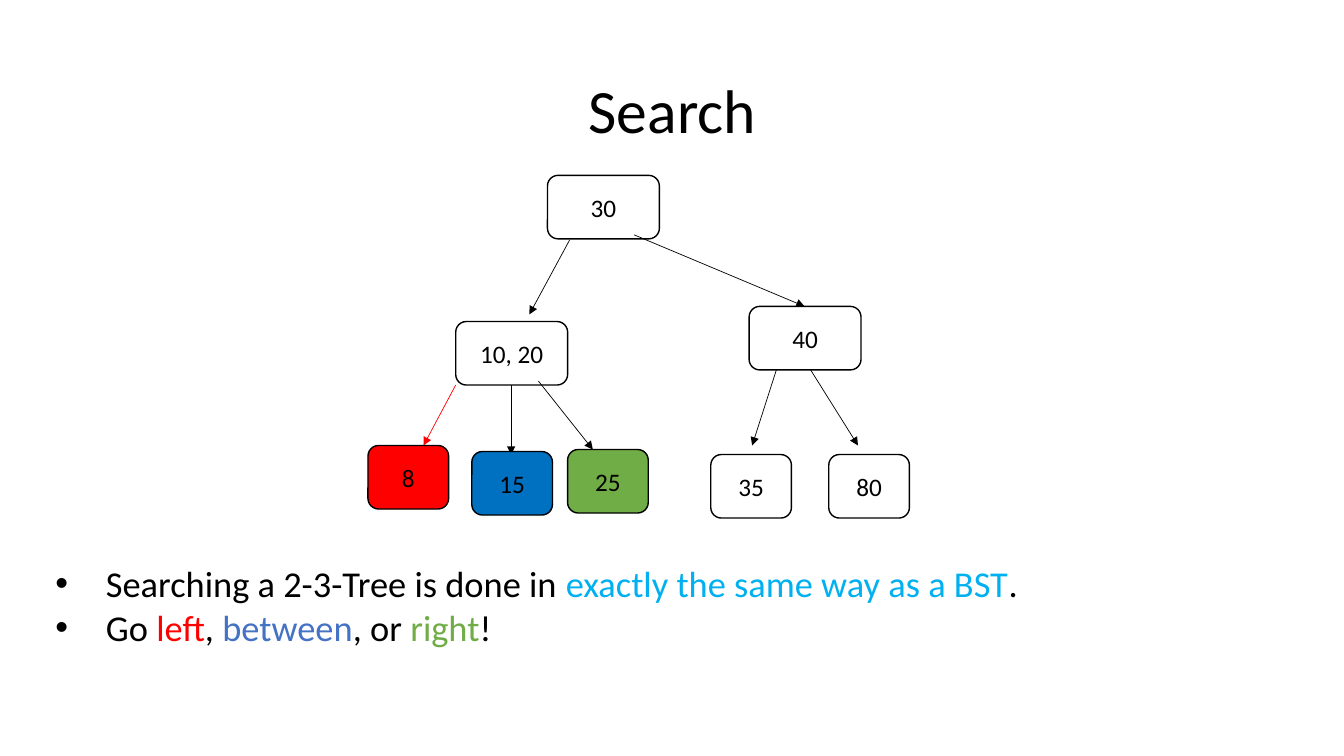
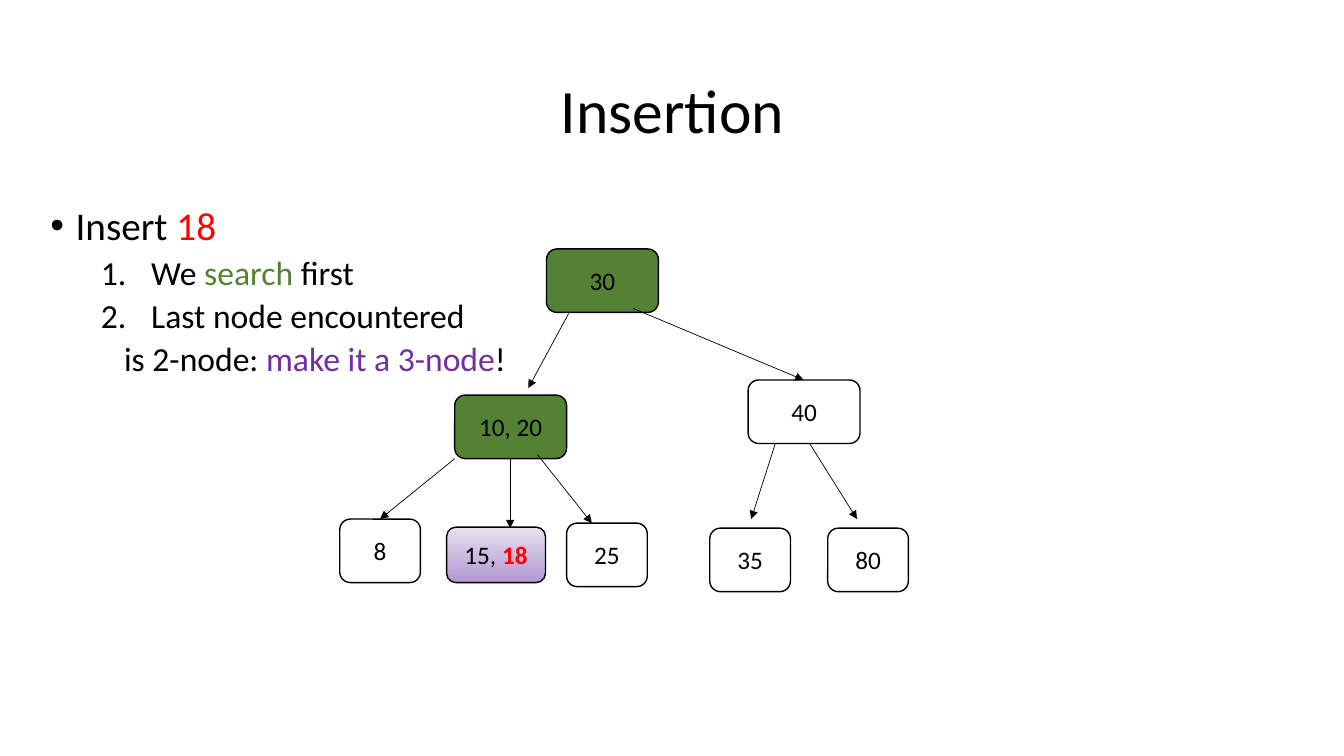
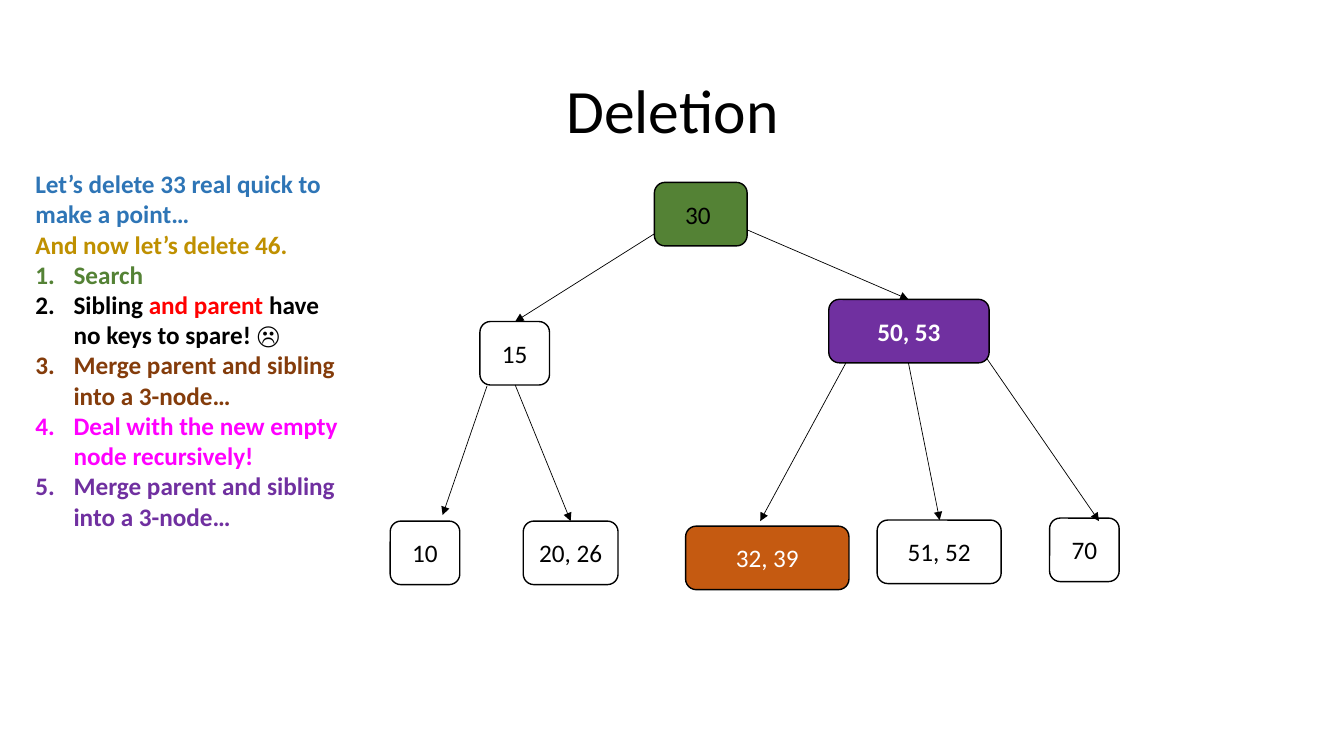
from dataclasses import dataclass

from lxml.etree import SubElement
from pptx import Presentation
from pptx.dml.color import RGBColor
from pptx.enum.shapes import MSO_CONNECTOR as Connector, MSO_SHAPE as Shape
from pptx.enum.text import MSO_ANCHOR as Anchor, MSO_AUTO_SIZE as AutoSize, PP_ALIGN as Align
from pptx.oxml.ns import qn
from pptx.util import Inches, Pt


@dataclass(frozen=True)
class Theme:
    font: str = "Calibri"
    title_size: int = 44
    node_size: int = 18
    node_line: float = 1
    arrow_line: float = 0.5
    black: str = "000000"
    white: str = "FFFFFF"
    red: str = "FF0000"
    sky: str = "00B0F0"
    blue: str = "4472C4"
    strong_blue: str = "0070C0"
    steel: str = "2E75B6"
    green: str = "70AD47"
    dark_green: str = "548235"
    purple: str = "7030A0"
    gold: str = "BF9000"
    brown: str = "843C0B"
    orange: str = "C55A11"
    magenta: str = "FF00FF"
    lavender: tuple = ("B197D2", "E7E1F0")


@dataclass(frozen=True)
class ParagraphStyle:
    size: int
    margin: float = 0
    indent: float = 0
    bullet: str = ""
    level: int = 0
    before: int = 0
    spacing: float = 1.0
    bold: bool = False


THEME = Theme()
NODE_HEIGHT = 0.63
WIDE, NARROW, SINGLE = 1.11, 0.8, 0.69


def set_all(target, values):
    for name, value in values.items():
        setattr(target, name, value)


class Deck:
    def __init__(self, theme):
        self.theme = theme
        self.presentation = Presentation()
        set_all(self.presentation, {"slide_width": Inches(13.33), "slide_height": Inches(7.5)})

    def add_slide(self, title, shift=(0, 0)):
        self.slide = self.presentation.slides.add_slide(self.presentation.slide_layouts[1])
        self.shift = shift
        shape = self.slide.shapes.title
        self.place(shape, (0.92, 0.4, 11.5, 1.45), Anchor.MIDDLE)
        paragraph = shape.text_frame.paragraphs[0]
        set_all(paragraph, {"alignment": Align.CENTER, "line_spacing": 0.9})
        self.add_runs(paragraph, [title], self.theme.title_size)

    def place(self, shape, bounds, anchor):
        set_all(shape, dict(zip(("left", "top", "width", "height"), map(Inches, bounds))))
        set_all(shape.text_frame, {
            "word_wrap": True, "auto_size": AutoSize.NONE, "vertical_anchor": anchor})

    def add_runs(self, paragraph, runs, size, bold=False, color=None):
        for item in runs:
            text, run_color, *emphasis = (item, color) if isinstance(item, str) else item
            run = paragraph.add_run()
            run.text = text
            set_all(run.font, {
                "name": self.theme.font, "size": Pt(size), "bold": bold or bool(emphasis)})
            run.font.color.rgb = RGBColor.from_string(run_color or self.theme.black)

    def body(self, bounds, rows):
        shape = self.slide.placeholders[1]
        self.place(shape, bounds, Anchor.TOP)
        frame = shape.text_frame
        for index, (style, runs) in enumerate(rows):
            paragraph = frame.add_paragraph() if index else frame.paragraphs[0]
            self.bullet(paragraph, style)
            set_all(paragraph, {
                "level": style.level, "line_spacing": style.spacing,
                "space_before": Pt(style.before if index else 0), "space_after": Pt(0)})
            self.add_runs(paragraph, runs, style.size, style.bold)

    def bullet(self, paragraph, style):
        properties = paragraph._p.get_or_add_pPr()
        properties.set("marL", str(Inches(style.margin)))
        properties.set("indent", str(Inches(style.indent)))
        if style.bullet == "number":
            SubElement(properties, qn("a:buFont"), typeface=self.theme.font)
            SubElement(properties, qn("a:buAutoNum"), type="arabicPeriod")
        elif style.bullet:
            SubElement(properties, qn("a:buChar"), char=style.bullet)
        else:
            SubElement(properties, qn("a:buNone"))

    def node(self, runs, left, top, width, fill=None, color=None, bold=False, height=NODE_HEIGHT):
        bounds = (left + self.shift[0], top + self.shift[1], width, height)
        shape = self.slide.shapes.add_shape(Shape.ROUNDED_RECTANGLE, *map(Inches, bounds))
        self.place(shape, bounds, Anchor.MIDDLE)
        shape.shadow.inherit = False
        self.fill(shape.fill, fill)
        shape.line.color.rgb = RGBColor.from_string(self.theme.black)
        shape.line.width = Pt(self.theme.node_line)
        paragraph = shape.text_frame.paragraphs[0]
        paragraph.alignment = Align.CENTER
        runs = [runs] if isinstance(runs, str) else runs
        self.add_runs(paragraph, runs, self.theme.node_size, bold, color)

    def fill(self, fill, color):
        if color is None:
            fill.background()
        elif isinstance(color, tuple):
            fill.gradient()
            fill.gradient_angle = 90
            for position, (stop, value) in enumerate(zip(fill.gradient_stops, color)):
                stop.position = position
                stop.color.rgb = RGBColor.from_string(value)
        else:
            fill.solid()
            fill.fore_color.rgb = RGBColor.from_string(color)

    def arrow(self, start, end, color=None):
        points = [Inches(value + move) for point in (start, end)
                  for value, move in zip(point, self.shift)]
        connector = self.slide.shapes.add_connector(Connector.STRAIGHT, *points)
        connector.line.color.rgb = RGBColor.from_string(color or self.theme.black)
        connector.line.width = Pt(self.theme.arrow_line)
        properties = connector._element.spPr
        SubElement(properties.find(qn("a:ln")), qn("a:tailEnd"), type="triangle")
        SubElement(properties, qn("a:effectLst"))

    def search_tree(self, fills, first_leaf_edge):
        for label, left, top in (("30", 5.43, 1.74), ("40", 7.43, 3.04), ("10, 20", 4.52, 3.19)):
            self.node(label, left, top, WIDE, fills.get(label))
        for start, end in (
            ((5.65, 2.38), (5.25, 3.12)),
            ((6.29, 2.33), (7.98, 3.04)),
            ((7.7, 3.67), (7.46, 4.42)),
            ((8.04, 3.67), (8.51, 4.42)),
            ((5.34, 3.78), (5.88, 4.46)),
            ((5.07, 3.82), (5.07, 4.51)),
        ):
            self.arrow(start, end)
        self.arrow((4.52, 3.82), *first_leaf_edge)
        for label, left, top in (("25", 5.63, 4.46), ("35", 7.05, 4.51), ("80", 8.22, 4.51)):
            self.node(label, left, top, NARROW, fills.get(label))


def search_slide(deck):
    theme = deck.theme
    deck.add_slide("Search")
    deck.search_tree({"25": theme.green}, ((4.2, 4.42), theme.red))
    deck.node("15", 4.68, 4.48, NARROW, theme.strong_blue)
    deck.node("8", 3.65, 4.42, NARROW, theme.red)
    point = ParagraphStyle(26, 0.5, -0.5, "•")
    deck.body((0.45, 5.52, 12.19, 0.98), [
        (point, ["Searching a 2-3-Tree is done in ",
                 ("exactly the same way as a BST", theme.sky), "."]),
        (point, ["Go ", ("left", theme.red), ", ", ("between", theme.blue), ", or ",
                 ("right", theme.green), "!"]),
    ])


def insertion_slide(deck):
    theme = deck.theme
    deck.add_slide("Insertion", shift=(-0.01, 0.73))
    point = ParagraphStyle(28, 0.25, -0.25, "•", spacing=0.9)
    step = ParagraphStyle(24, 1, -0.5, "number", level=1, before=5, spacing=0.9)
    continuation = ParagraphStyle(24, 0.73, level=1, before=5, spacing=0.9)
    deck.body((0.4, 2, 12.02, 4.76), [
        (point, ["Insert ", ("18", theme.red)]),
        (step, ["We ", ("search ", theme.dark_green), "first"]),
        (step, ["Last node encountered"]),
        (continuation, ["is 2-node: ", ("make it a 3-node", theme.purple), "!"]),
    ])
    visited = dict.fromkeys(("30", "10, 20"), theme.dark_green)
    deck.search_tree(visited, ((3.78, 4.42),))
    deck.node(["15, ", ("18", theme.red, True)], 4.44, 4.5, 0.98, theme.lavender, height=0.55)
    deck.node("8", 3.38, 4.42, NARROW)


def deletion_slide(deck):
    theme = deck.theme
    deck.add_slide("Deletion")
    lead = ParagraphStyle(18, bold=True)
    step = ParagraphStyle(18, 0.38, -0.38, "number", bold=True)
    merge = "Merge parent and sibling into a 3-node…"
    deck.body((0.25, 1.62, 3.22, 3.74), [
        (lead, [("Let’s delete 33 real quick to make a point…", theme.steel)]),
        (lead, [("And now let’s delete 46.", theme.gold)]),
        (step, [("Search", theme.dark_green)]),
        (step, ["Sibling ", ("and parent ", theme.red), "have no keys to spare! ☹"]),
        (step, [(merge, theme.brown)]),
        (step, [("Deal with the new empty node recursively!", theme.magenta)]),
        (step, [(merge, theme.purple)]),
    ])
    deck.node("30 ", 6.49, 1.81, 0.92, theme.dark_green)
    deck.node("15", 4.76, 3.19, SINGLE)
    deck.node("50, 53", 8.22, 2.97, 1.59, theme.purple, theme.white, bold=True)
    for start, end in (
        ((6.49, 2.32), (5.11, 3.19)),
        ((7.41, 2.28), (9.01, 2.97)),
        ((4.83, 3.83), (4.39, 5.11)),
        ((5.11, 3.82), (5.66, 5.17)),
        ((8.39, 3.6), (7.54, 5.17)),
        ((9.01, 3.6), (9.32, 5.16)),
        ((9.79, 3.56), (10.9, 5.17)),
    ):
        deck.arrow(start, end)
    deck.node("10", 3.87, 5.17, SINGLE)
    deck.node("20, 26", 5.19, 5.17, 0.94)
    deck.node("32, 39", 6.8, 5.22, 1.62, theme.orange, theme.white)
    deck.node("51, 52", 8.7, 5.16, 1.23)
    deck.node("70", 10.41, 5.14, SINGLE)


def main():
    deck = Deck(THEME)
    for build in (search_slide, insertion_slide, deletion_slide):
        build(deck)
    deck.presentation.save("out.pptx")


if __name__ == "__main__":
    main()
